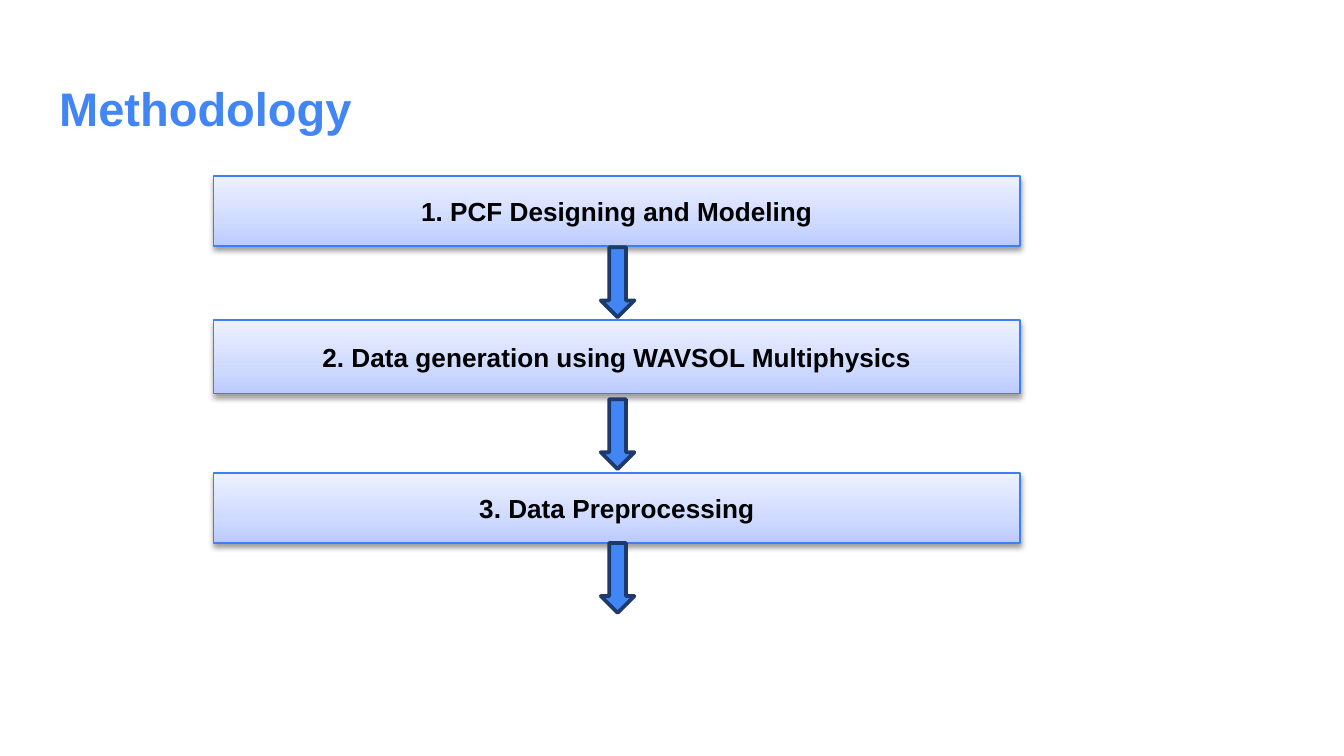
import copy
from dataclasses import dataclass

import lxml.etree
import pptx
import pptx.dml.color
import pptx.enum.shapes
import pptx.enum.text
import pptx.oxml
import pptx.oxml.ns
import pptx.util

Inches = pptx.util.Inches
Pt = pptx.util.Pt
qn = pptx.oxml.ns.qn
SHAPE = pptx.enum.shapes.MSO_SHAPE
ALIGN = pptx.enum.text.PP_ALIGN

COLORS = {
    "title": "4285F4",
    "text": "000000",
    "box_line": "3C81F3",
    "arrow": "4285F4",
    "arrow_line": "1D3A6B",
    "shadow": "000000",
    "box_bottom": "BBCBFF",
    "box_middle": "CFDAFF",
    "box_top": "EDF1FF",
}
BOX_STOPS = [(0, "box_bottom"), (0.35, "box_middle"), (1, "box_top")]
BOX_LEFT, BOX_WIDTH = 1.59, 6
ARROW_LEFT, ARROW_WIDTH, ARROW_HEIGHT = 4.47, 0.25, 0.52


@dataclass
class Step:
    text: str
    top: float
    height: float
    arrow_top: float


STEPS = [
    Step("1. PCF Designing and Modeling", 1.31, 0.52, 1.84),
    Step("2. Data generation using WAVSOL Multiphysics", 2.38, 0.55, 2.97),
    Step("3. Data Preprocessing", 3.52, 0.52, 4.04),
]


def rgb(name: str) -> pptx.dml.color.RGBColor:
    return pptx.dml.color.RGBColor.from_string(COLORS[name])


def write_text(sp, text: str, *, size: float, color: str, align) -> None:
    tf = sp.text_frame
    tf.word_wrap = True
    tf.auto_size = pptx.enum.text.MSO_AUTO_SIZE.NONE
    tf.vertical_anchor = pptx.enum.text.MSO_ANCHOR.MIDDLE
    p = tf.paragraphs[0]
    p.alignment = align
    r = p.add_run()
    r.text = text
    r.font.name = "Arial"
    r.font.size = Pt(size)
    r.font.bold = True
    r.font.color.rgb = rgb(color)


def add_shape(s, kind, left: float, top: float, width: float, height: float,
              line: str, line_width: float):
    sp = s.shapes.add_shape(kind, Inches(left), Inches(top), Inches(width), Inches(height))
    sp.line.color.rgb = rgb(line)
    sp.line.width = Pt(line_width)
    sp.shadow.inherit = False
    return sp


def fill_gradient(sp) -> None:
    sp.fill.gradient()
    sp.fill.gradient_angle = 90
    first = sp.element.spPr.find(".//" + qn("a:gs"))
    first.addnext(copy.deepcopy(first))
    for stop, (position, color) in zip(sp.fill.gradient_stops, BOX_STOPS):
        stop.position = position
        stop.color.rgb = rgb(color)


def add_shadow(sp) -> None:
    effects = sp.element.spPr.find(qn("a:effectLst"))
    shadow = lxml.etree.SubElement(
        effects, qn("a:outerShdw"), blurRad=str(Pt(3.1)), dist=str(Pt(1.6)),
        dir="5400000", rotWithShape="0")
    color = lxml.etree.SubElement(shadow, qn("a:srgbClr"), val=COLORS["shadow"])
    lxml.etree.SubElement(color, qn("a:alpha"), val="38000")


def add_box(s, step: Step) -> None:
    sp = add_shape(s, SHAPE.RECTANGLE, BOX_LEFT, step.top, BOX_WIDTH, step.height,
                   "box_line", 0.75)
    fill_gradient(sp)
    add_shadow(sp)
    write_text(sp, step.text, size=14, color="text", align=ALIGN.CENTER)


def add_arrow(s, top: float) -> None:
    sp = add_shape(s, SHAPE.DOWN_ARROW, ARROW_LEFT, top, ARROW_WIDTH, ARROW_HEIGHT,
                   "arrow_line", 2)
    sp.fill.solid()
    sp.fill.fore_color.rgb = rgb("arrow")
    lxml.etree.SubElement(sp.element.spPr.find(qn("a:ln")), qn("a:round"))


def add_title(s, text: str) -> None:
    sp = s.shapes.title
    sp.left, sp.top, sp.width, sp.height = map(Inches, (0.34, 0.49, 9.32, 0.63))
    tf = sp.text_frame
    tf.margin_left = tf.margin_right = tf.margin_top = tf.margin_bottom = Inches(0.1)
    write_text(sp, text, size=25.2, color="title", align=ALIGN.LEFT)


def main() -> None:
    prs = pptx.Presentation()
    prs.slide_width = Inches(10)
    prs.slide_height = prs.slide_width * 9 // 16
    s = prs.slides.add_slide(prs.slide_layouts[5])
    add_title(s, "Methodology")
    for step in STEPS:
        add_box(s, step)
        add_arrow(s, step.arrow_top)
    prs.save("out.pptx")


if __name__ == "__main__":
    main()
